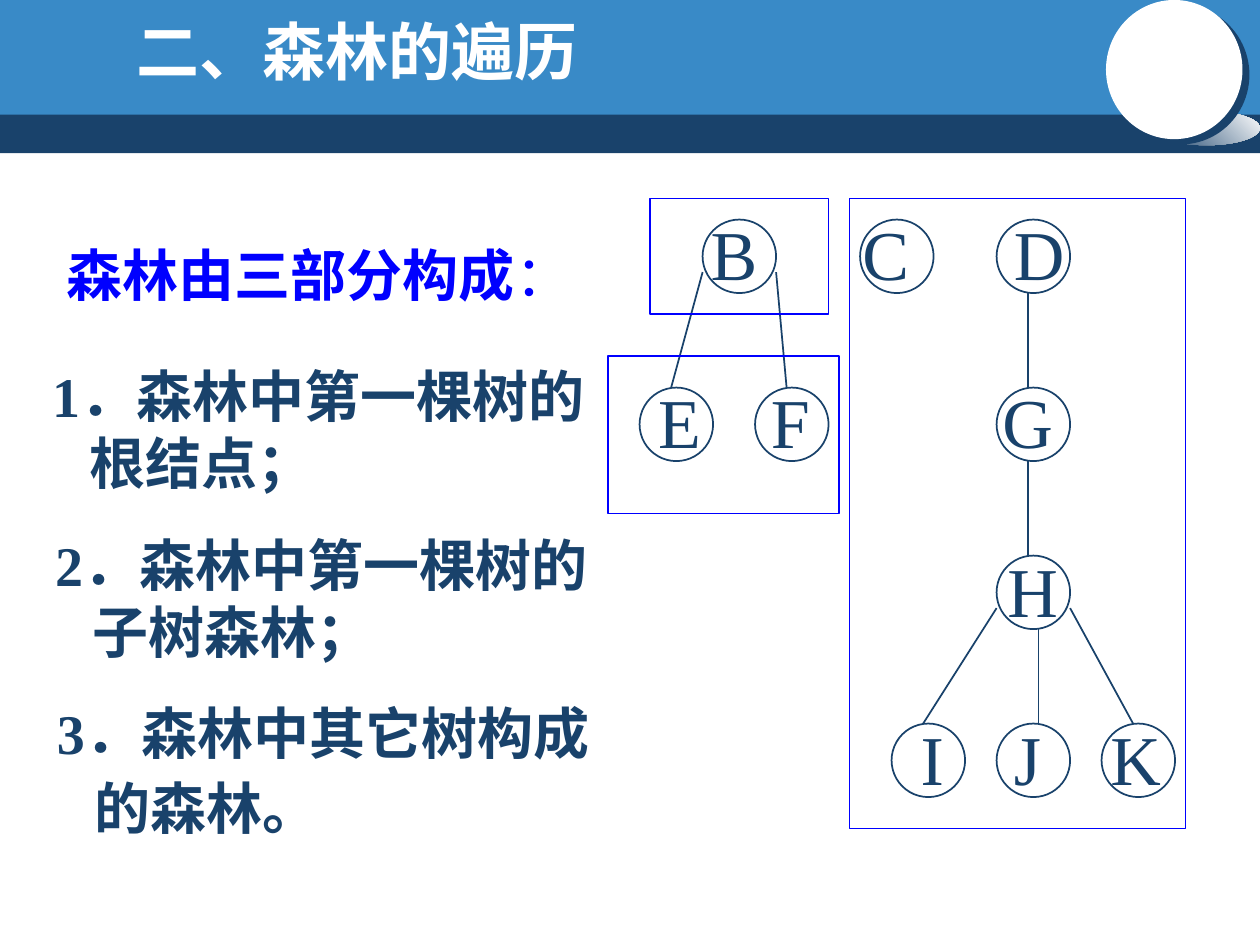
from lxml import etree
from pptx import Presentation
from pptx.dml.color import RGBColor
from pptx.enum.shapes import MSO_CONNECTOR, MSO_SHAPE
from pptx.oxml.ns import qn
from pptx.util import Pt

RECT, OVAL = MSO_SHAPE.RECTANGLE, MSO_SHAPE.OVAL
STRAIGHT = MSO_CONNECTOR.STRAIGHT
COLORS = {"navy": "19426B", "sky": "398AC7", "white": "FFFFFF", "blue": "0000FF"}
SERIF, SANS, TITLE = "Times New Roman", "Noto Sans CJK SC", "Lato"

NODE = 42            # diameter of a tree node
TOP, PITCH = 125.5, 96   # first tree level and distance between levels
SIDE = 30            # height on a node where slanted edges leave it

# Per level: (letter, tab position of the letter, left of its circle)
LEVELS = [
    [("B", 30, 401.5), ("C", 116.7, 491.5), ("D", 203.3, 569.5)],
    [("E", 0, 365.5), ("F", 64.4, 431.5), ("G", 196.7, 569.5)],
    [("H", 199.5, 569.5)],
    [("I", 150, 509.5), ("J", 203.3, 569.5), ("K", 258.5, 629.5)],
]
# Level of the parent, start x, start height on the node, end x
EDGES = [
    (0, 401.5, SIDE, 383.5), (0, 443.5, SIDE, 449.5), (0, 587.5, NODE, 587.5),
    (1, 587.5, NODE, 587.5),
    (2, 569.5, SIDE, 527.5), (2, 593.5, NODE, 593.5), (2, 611.5, SIDE, 647.5),
]
PARTS = [(371.5, 113.5, 102, 66), (347.5, 203.5, 132, 90), (485.5, 113.5, 192, 360)]
# Left, top, space between the lines, number, first line, second line
ITEMS = [
    (22.8, 203, 0, "1", "．森林中第一棵树的", "根结点；"),
    (24.5, 299.5, 0, "2", "．森林中第一棵树的", "子树森林；"),
    (25.5, 395.5, 4.8, "3", "．森林中其它树构成", "的森林。"),
]


def rgb(name):
    return RGBColor.from_string(COLORS[name])


class Board:
    def __init__(self, s):
        self.s = s

    def shape(self, kind, box, fill=None, line=None):
        sp = self.s.shapes.add_shape(kind, *map(Pt, box))
        sp.shadow.inherit = False
        if fill:
            sp.fill.solid()
            sp.fill.fore_color.rgb = rgb(fill)
        else:
            sp.fill.background()
        if line:
            sp.line.color.rgb = rgb(line)
            sp.line.width = Pt(1)
        else:
            sp.line.fill.background()
        return sp

    def line(self, x1, y1, x2, y2):
        c = self.s.shapes.add_connector(STRAIGHT, *map(Pt, (x1, y1, x2, y2)))
        c.line.color.rgb = rgb("navy")
        c.line.width = Pt(1)
        etree.SubElement(c._element.spPr, qn("a:effectLst"))

    def text(self, box, wrap=True):
        tf = self.s.shapes.add_textbox(*map(Pt, box)).text_frame
        tf.word_wrap = wrap
        return tf

    def para(self, tf, first=False, indent=0, tabs=(), **formats):
        p = tf.paragraphs[0] if first else tf.add_paragraph()
        pPr = p._p.get_or_add_pPr()
        if indent:
            pPr.set("marL", str(Pt(indent)))
        if tabs:
            tab_list = etree.SubElement(pPr, qn("a:tabLst"))
            for pos in tabs:
                etree.SubElement(tab_list, qn("a:tab"), pos=str(Pt(pos)), algn="l")
        for name, value in formats.items():
            setattr(p, name, value)
        return p

    def run(self, p, text, size, color, font, bold=True):
        r = p.add_run()
        r.text = text
        for name, value in {"size": Pt(size), "bold": bold, "name": font}.items():
            setattr(r.font, name, value)
        r.font.color.rgb = rgb(color)
        east = SANS if font == SERIF else font
        etree.SubElement(r._r.get_or_add_rPr(), qn("a:ea"), typeface=east)


def add_banner(b):
    b.shape(RECT, (0, 62.5, 720, 25), "navy")
    b.shape(RECT, (0, 0, 720, 65.5), "sky")
    glow = b.shape(OVAL, (659, 63.5, 61, 19.5))
    glow.fill.gradient()
    glow.fill.gradient_angle = 45
    for stop, (pos, color) in zip(glow.fill.gradient_stops, [(0, "navy"), (1, "white")]):
        stop.position = pos
        stop.color.rgb = rgb(color)
    disc = b.shape(OVAL, (632, 0, 78, 79.5), "white")
    effects = disc._element.spPr.find(qn("a:effectLst"))
    shadow = etree.SubElement(effects, qn("a:outerShdw"), blurRad="0",
                              dist=str(Pt(5)), dir=str(37 * 60000),
                              algn="ctr", rotWithShape="0")
    etree.SubElement(shadow, qn("a:srgbClr"), val=COLORS["navy"])


def add_forest(b):
    tf = b.text((369, 119, 302, 342), wrap=False)
    for i, level in enumerate(LEVELS):
        tabs = [pos for _, pos, _ in level if pos]
        p = b.para(tf, i == 0, tabs=tabs, line_spacing=Pt(46),
                   space_before=Pt(PITCH - 46 if i else 0))
        text = "".join(("\t" if pos else "") + letter for letter, pos, _ in level)
        b.run(p, text, 40, "navy", SERIF, bold=False)
        for _, _, x in level:
            b.shape(OVAL, (x, TOP + i * PITCH, NODE, NODE), line="navy")
    for i, x1, drop, x2 in EDGES:
        y = TOP + i * PITCH
        b.line(x1, y + drop, x2, y + PITCH)
    for box in PARTS:
        b.shape(RECT, box, line="blue")


def add_items(b):
    for x, y, gap, number, first, second in ITEMS:
        tf = b.text((x, y, 338, 84 + gap))
        p = b.para(tf, True, line_spacing=Pt(38.4))
        b.run(p, number, 32, "navy", SERIF)
        b.run(p, first, 32, "navy", SANS)
        p = b.para(tf, indent=21.5, line_spacing=Pt(38.4), space_before=Pt(gap))
        b.run(p, second, 32, "navy", SANS)


def add_headings(b):
    p = b.para(b.text((71, 3.5, 267, 50.5), wrap=False), True, line_spacing=Pt(43.2))
    b.run(p, "二、森林的遍历", 36, "white", TITLE)
    p = b.para(b.text((31, 134, 304, 45.5), wrap=False), True, line_spacing=Pt(38.4))
    b.run(p, "森林由三部分构成", 32, "blue", SERIF)
    b.run(p, "：", 32, "blue", SERIF, bold=False)


def main():
    prs = Presentation()
    prs.slide_width, prs.slide_height = Pt(720), Pt(540)
    b = Board(prs.slides.add_slide(prs.slide_layouts[6]))
    add_banner(b)
    add_forest(b)
    add_items(b)
    add_headings(b)
    prs.save("out.pptx")


if __name__ == "__main__":
    main()
